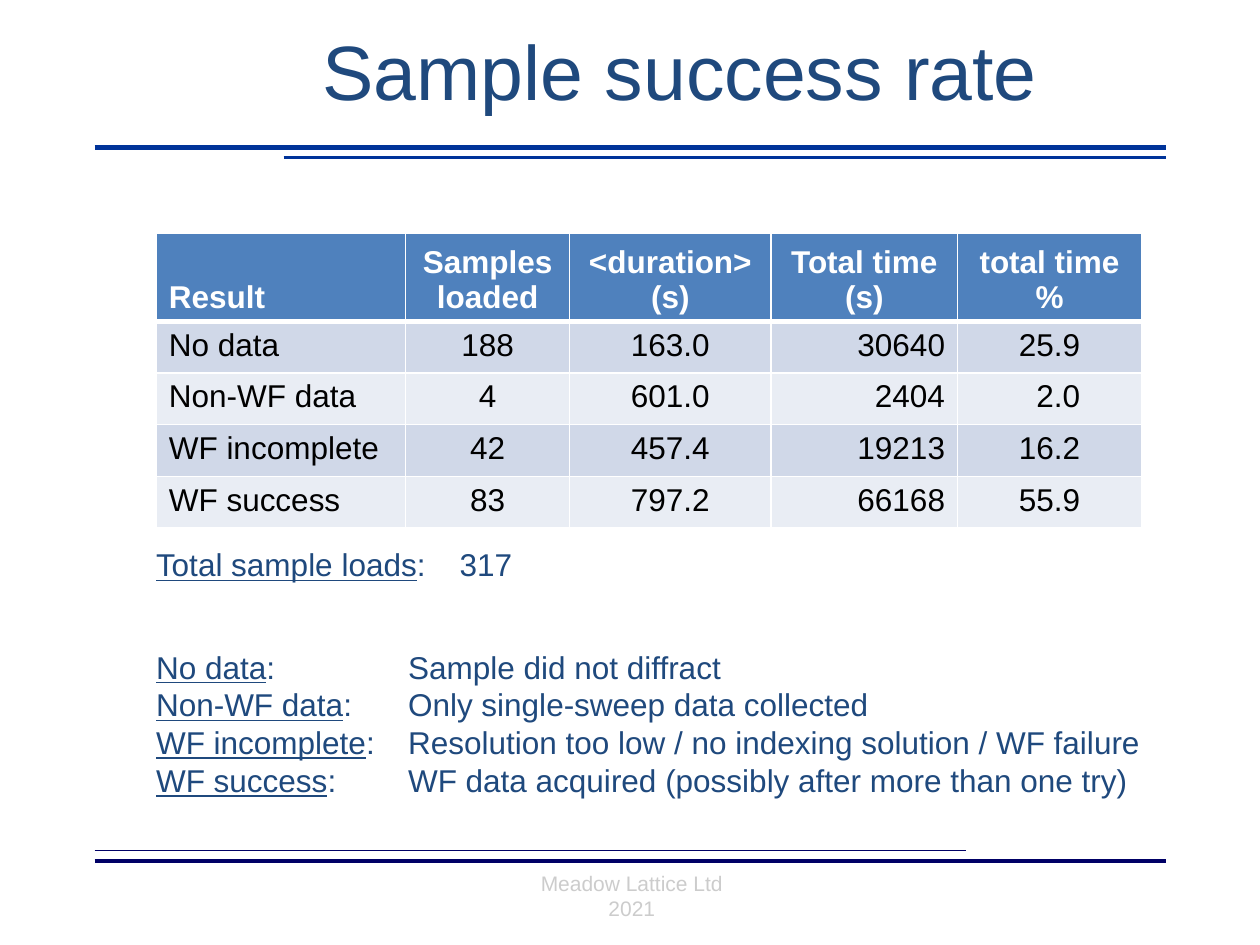
from dataclasses import dataclass

from lxml.etree import SubElement as Sub
from pptx import Presentation
from pptx.dml.color import RGBColor as RGB
from pptx.enum.shapes import MSO_CONNECTOR as Conn
from pptx.enum.text import MSO_ANCHOR as Anchor, PP_ALIGN as Align
from pptx.oxml import parse_xml
from pptx.oxml.ns import nsdecls, qn
from pptx.util import Pt

UNIT = 9144  # EMU in one px, 100 px to the inch


@dataclass(frozen=True)
class Theme:
    font: str = "Arial"
    ink: str = "1F497D"
    black: str = "000000"
    white: str = "FFFFFF"
    grey: str = "CCCCCC"
    blue: str = "003399"
    navy: str = "000066"
    head: str = "4F81BD"
    bands: tuple = ("D0D8E8", "E9EDF4")
    title: int = 44
    body: int = 18
    small: int = 12


THEME = Theme()
LEFT, MID, RIGHT = Align.LEFT, Align.CENTER, Align.RIGHT

COLS = [198, 130, 160, 148, 146]
ALIGNS = [LEFT, MID, MID, RIGHT, MID]
HEAD, ROW = 66, 41
DATA = [
    ["Result", "Samples loaded", "<duration> (s)", "Total time (s)", "total time %"],
    ["No data", "188", "163.0", "30640", "25.9"],
    ["Non-WF data", "4", "601.0", "2404", "2.0"],
    ["WF incomplete", "42", "457.4", "19213", "16.2"],
    ["WF success", "83", "797.2", "66168", "55.9"],
]
TERMS = [
    ("No data", "Sample did not diffract"),
    ("Non-WF data", "Only single-sweep data collected"),
    ("WF incomplete", "Resolution too low / no indexing solution / WF failure"),
    ("WF success", "WF data acquired (possibly after more than one try)"),
]


def px(*nums):
    return [n * UNIT for n in nums]


def write(frame, lines, size=THEME.body, color=THEME.ink, bold=False,
          align=LEFT, space=None, tab=None):
    """Fill a frame; a line is a string or a (term, meaning) pair."""
    for i, line in enumerate(lines):
        para = frame.paragraphs[0] if i == 0 else frame.add_paragraph()
        para.alignment = align
        if space:
            para.line_spacing = space
        if tab:
            stops = Sub(para._p.get_or_add_pPr(), qn("a:tabLst"))
            Sub(stops, qn("a:tab"), pos=str(tab * UNIT), algn="l")
        pair = not isinstance(line, str)
        parts = [line[0], ":\t" + line[1]] if pair else [line]
        for j, part in enumerate(parts):
            run = para.add_run()
            run.text = part
            font = run.font
            font.name, font.size, font.bold = THEME.font, Pt(size), bold
            font.underline = pair and j == 0
            font.color.rgb = RGB.from_string(color)


def strip(frame):
    frame.margin_left = frame.margin_right = 0
    frame.margin_top = frame.margin_bottom = 0


def add_text(slide, box, lines, **style):
    frame = slide.shapes.add_textbox(*px(*box)).text_frame
    frame.word_wrap = True
    write(frame, lines, **style)
    return frame


def add_rule(slide, x, y, width, color, weight):
    line = slide.shapes.add_connector(Conn.STRAIGHT, *px(x, y, x + width, y))
    line.line.color.rgb = RGB.from_string(color)
    line.line.width = Pt(weight)
    Sub(line._element.spPr, qn("a:effectLst"))


def add_frame(slide, x, y, width, height):
    """Draw the pair of rules at the top and at the bottom of the box."""
    end = y + height
    add_rule(slide, x, y, width, THEME.blue, 3)
    add_rule(slide, x, end, width, THEME.navy, 2.25)
    add_rule(slide, x + 150, y + 8, width - 150, THEME.blue, 1.5)
    add_rule(slide, x, end - 8, width - 158, THEME.navy, 0.75)


def add_title(slide, box, text):
    title = slide.shapes.title
    title.left, title.top, title.width, title.height = px(*box)
    frame = title.text_frame
    strip(frame)
    frame.vertical_anchor = Anchor.MIDDLE
    write(frame, [text], size=THEME.title, space=0.9)


def add_edges(cell, top, bottom):
    props = cell._tc.get_or_add_tcPr()
    for i, (side, weight) in enumerate(zip("LRTB", (1, 1, top, bottom))):
        props.insert(i, parse_xml(
            f'<a:ln{side} {nsdecls("a")} w="{Pt(weight)}"><a:solidFill>'
            f'<a:srgbClr val="{THEME.white}"/></a:solidFill></a:ln{side}>'))


def add_grid(slide, x, y):
    size = (sum(COLS), HEAD + ROW * (len(DATA) - 1))
    grid = slide.shapes.add_table(len(DATA), len(COLS), *px(x, y, *size)).table
    for col, width in zip(grid.columns, COLS):
        col.width = width * UNIT
    for r, row in enumerate(DATA):
        grid.rows[r].height = (ROW if r else HEAD) * UNIT
        fill = THEME.bands[(r - 1) % 2] if r else THEME.head
        for c, text in enumerate(row):
            cell = grid.cell(r, c)
            cell.fill.solid()
            cell.fill.fore_color.rgb = RGB.from_string(fill)
            add_edges(cell, 3 if r == 1 else 1, 1 if r else 3)
            cell.vertical_anchor = Anchor.TOP if r else Anchor.BOTTOM
            align = ALIGNS[c] if r or c == 0 else MID
            write(cell.text_frame, [text], bold=r == 0, align=align,
                  color=THEME.black if r else THEME.white)
    # Line the one-digit share up with the decimal points around it
    grid.cell(2, 4).margin_left = 24 * UNIT


def add_notes(slide, x, y):
    add_text(slide, (x, y + 81, 808, 131), TERMS, tab=200)
    add_text(slide, (x, y, 306, 40), [("Total sample loads", "317")], tab=241)


def main():
    deck = Presentation()
    deck.slide_width, deck.slide_height = px(1000, 750)
    slide = deck.slides.add_slide(deck.slide_layouts[5])
    add_frame(slide, 75, 117, 850, 566)
    foot = add_text(slide, (295, 691, 413, 52), ["Meadow Lattice Ltd", "2021"],
                    size=THEME.small, color=THEME.grey, align=MID)
    strip(foot)
    add_title(slide, (256, 31, 725, 58), "Sample success rate")
    add_grid(slide, 124, 185)
    add_notes(slide, 114, 428)
    deck.save("out.pptx")


if __name__ == "__main__":
    main()
